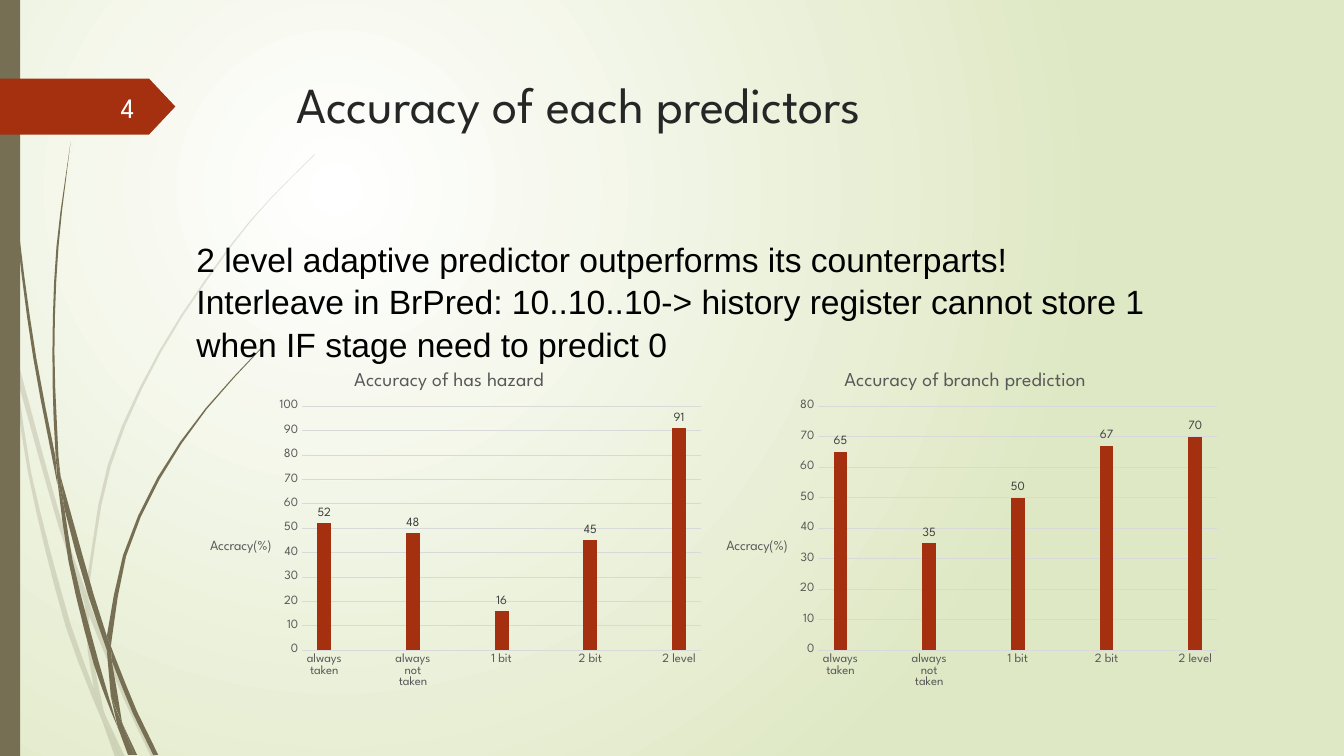
from math import hypot

from lxml.etree import SubElement as Sub
from pptx import Presentation
from pptx.chart.data import CategoryChartData as Data
from pptx.dml.color import RGBColor as Rgb
from pptx.enum.chart import XL_CHART_TYPE as Kind, XL_LABEL_POSITION as Spot
from pptx.enum.chart import XL_TICK_MARK as Tick
from pptx.enum.shapes import MSO_SHAPE as Form
from pptx.enum.text import MSO_ANCHOR as Anchor, PP_ALIGN as Align
from pptx.oxml.ns import qn
from pptx.util import Emu, Inches, Pt

WIDE, HIGH = Inches(13.33), Inches(7.5)
CELL = Inches(0.01)  # the leaves sit on a grid of 1333 columns by 750 rows
FINE = 100  # steps within a cell
FONT = "League Spartan"
OLIVE, RUST, GREY, RULE = "766F54", "A53010", "595959", "D9D9D9"

# Each leaf is a closed outline: edges parted by "/", points as column,row
PALE = [
    "11,350 9,322 0,282 / 0,299 10,344 11,350",
    "17,376 58,522 84,599 / 85,586 62,520 14,345",
    "88,596 92,607 127,692 155,751 / 150,751 123,694 88,610",
    "119,751 / 124,751 / 105,711",
    "11,350 17,376 31,469 70,619 93,683 101,714 / 92,693 65,621 28,470 11,350",
    "84,599 87,646 93,683 96,692 105,711 / 103,706 91,646 88,610",
    "88,596 88,584 110,462 160,349 229,245 268,198 312,154 / "
    "312,153 268,197 228,244 158,348 107,461 85,584",
    "101,714 114,751 / 119,751",
    "88,610 / 88,596 / 85,586 / 84,599",
    "93,683 101,714 119,751 / 105,711 96,692 93,683",
]
DARK = [
    "3,0 7,110 17,233 33,355 57,481 / 55,453 36,355 19,232 8,109 4,0",
    "60,472 64,505 88,592 106,645 / 106,631 93,590 60,472",
    "110,641 113,649 136,706 157,749 / 152,749 132,708 111,656",
    "57,477 64,505 72,556 98,657 117,722 / 111,708 93,659 68,557 57,477",
    "70,141 56,245 52,349 55,449 60,472 / 58,453 54,349 58,245 70,141",
    "133,749 / 136,749 / 122,719",
    "57,477 64,505 / 60,472 55,449",
    "111,633 125,552 158,476 205,406 261,344 / "
    "260,344 204,405 156,474 122,551 106,631 / 110,641",
    "117,722 127,749 / 131,749",
    "106,645 110,691 122,719 / 121,716 111,656 109,651",
    "106,645 111,656 / 110,641 106,631",
    "110,691 117,722 130,749 / 133,749 122,719 116,706",
]


def tint(code):
    """Turn a hex string into a colour."""
    return Rgb.from_string(code)


def frame(x, y, w, h):
    """Turn percent of the slide into left, top, width and height."""
    return [Emu(int(side * part / 100))
            for side, part in zip((WIDE, HIGH, WIDE, HIGH), (x, y, w, h))]


def style(font, size, code, name=FONT):
    """Set a font's size, colour and name."""
    font.size, font.name = Pt(size), name
    font.color.rgb = tint(code)


def paint(shape, code):
    """Give a shape a flat fill, without line or shadow."""
    shape.shadow.inherit = False
    shape.fill.solid()
    shape.fill.fore_color.rgb = tint(code)
    shape.line.fill.background()


def wash(slide):
    """Lay a round gradient, white at its heart, behind the slide."""
    fill = slide.background.fill
    fill.gradient()
    for stop, code in zip(fill.gradient_stops, ("FFFFFF", "DFE8C4")):
        stop.color.rgb = tint(code)
    grad = slide.element.find(".//" + qn("a:gradFill"))
    grad.remove(grad.find(qn("a:lin")))
    ring = Sub(grad, qn("a:path"), {"path": "circle"})
    Sub(ring, qn("a:fillToRect"), l="50000", t="50000", r="100000", b="100000")


def smooth(knots):
    """Run a soft curve through the knots, with more points on long spans."""
    aims = []
    for i in range(len(knots)):
        (ax, ay), (bx, by) = knots[max(i - 1, 0)], knots[min(i + 1, len(knots) - 1)]
        size = hypot(bx - ax, by - ay) or 1
        aims.append(((bx - ax) / size, (by - ay) / size))
    curve = [knots[0]]
    for p, q, u, v in zip(knots, knots[1:], aims, aims[1:]):
        span = hypot(q[0] - p[0], q[1] - p[1])
        steps = 1 + int(span / (50 * FINE))
        for t in (n / steps for n in range(1, steps + 1)):
            rise = t * t * (3 - 2 * t)
            out, back = span * t * (1 - t) ** 2, span * t * t * (t - 1)
            curve.append(tuple(p[k] + (q[k] - p[k]) * rise + u[k] * out + v[k] * back
                               for k in (0, 1)))
    return curve


def leaves(slide, plan, alpha=None):
    """Draw one group of leaves, see-through if alpha is given."""
    group = slide.shapes.add_group_shape()
    for text in plan:
        dots = []
        for edge in text.split("/"):
            knots = [tuple(int(n) * FINE for n in knot.split(","))
                     for knot in edge.split()]
            dots += smooth(knots)
        pen = group.shapes.build_freeform(*dots[0], scale=CELL / FINE)
        pen.add_line_segments(dots[1:], close=True)
        leaf = pen.convert_to_shape()
        paint(leaf, OLIVE)
        if alpha:
            tone = leaf.element.spPr.find(qn("a:solidFill"))[0]
            Sub(tone, qn("a:alpha"), val=str(alpha * 1000))


def block(slide, form, place, code):
    """Add a plain preset shape."""
    shape = slide.shapes.add_shape(form, *frame(*place))
    paint(shape, code)
    return shape


def words(slide, place, lines, size, code, name=FONT, align=Align.LEFT,
          anchor=Anchor.TOP, gap=1.0):
    """Add a text box with one paragraph a line."""
    text = slide.shapes.add_textbox(*frame(*place)).text_frame
    text.word_wrap, text.vertical_anchor = True, anchor
    text.text = "\n".join(lines)
    for para in text.paragraphs:
        para.alignment, para.line_spacing = align, gap
        style(para.font, size, code, name)


def pin(part, index, **spots):
    """Fix a chart part at shares of the chart's size."""
    old = part.find(qn("c:layout"))
    if old is not None:
        part.remove(old)
    plan = part.makeelement(qn("c:layout"))
    part.insert(index, plan)
    hand = Sub(plan, qn("c:manualLayout"))
    if "w" in spots:
        Sub(hand, qn("c:layoutTarget"), val="inner")
    for key in ("x", "y"):
        Sub(hand, qn(f"c:{key}Mode"), val="edge")
    for key, share in spots.items():
        Sub(hand, qn(f"c:{key}"), val=str(share))


def label(title, text, size):
    """Write a chart or axis title with level text, and return its element."""
    title.text_frame.text = text
    font = title.text_frame.paragraphs[0].font
    style(font, size, GREY)
    font.bold = False
    body = title._element.find(".//" + qn("a:bodyPr"))
    body.set("rot", "0")
    body.set("vert", "horz")
    return title._element


def bars(slide, place, title, names, rates, top):
    """Add a column chart with an empty slot between columns."""
    data = Data()
    last = 2 * len(names) - 1
    data.categories = ["" if i % 2 else names[i // 2] for i in range(last)]
    data.add_series("Series 1", [None if i % 2 else rates[i // 2] for i in range(last)])
    chart = slide.shapes.add_chart(Kind.COLUMN_CLUSTERED, *frame(*place), data).chart
    style(chart.font, 10, "000000")
    chart.has_legend = False
    label(chart.chart_title, title, 14)
    pin(chart._chartSpace.chart.plotArea, 0, x=0.22, y=0.15, w=0.76, h=0.71)

    plot = chart.plots[0]
    plot.gap_width, plot.overlap, plot.vary_by_categories = 219, -27, False
    fill = plot.series[0].format.fill
    fill.solid()
    fill.fore_color.rgb = tint(RUST)
    plot.has_data_labels = True
    tags = plot.data_labels
    tags.show_value, tags.position = True, Spot.OUTSIDE_END
    style(tags.font, 9, "404040")

    base, scale = chart.category_axis, chart.value_axis
    for axis in (base, scale):
        axis.major_tick_mark = axis.minor_tick_mark = Tick.NONE
        style(axis.tick_labels.font, 9, GREY)
    scale.minimum_scale, scale.maximum_scale, scale.major_unit = 0, top, 10
    scale.format.line.fill.background()
    for line in (base.format.line, scale.major_gridlines.format.line):
        line.color.rgb, line.width = tint(RULE), Pt(0.75)
    pin(label(scale.axis_title, "Accracy(%)", 10), 1, x=0.04, y=0.53)


def main():
    """Build the slide and save it."""
    deck = Presentation()
    deck.slide_width, deck.slide_height = WIDE, HIGH
    slide = deck.slides.add_slide(deck.slide_layouts[6])
    wash(slide)
    leaves(slide, PALE, alpha=20)
    leaves(slide, DARK)
    block(slide, Form.RECTANGLE, (0, 0, 1.5, 100), OLIVE)
    block(slide, Form.PENTAGON, (0, 10.4, 13.05, 7.4), RUST).adjustments[0] = 0.47
    words(slide, (21.3, 9.07, 73.14, 18.67), ["Accuracy of each predictors"], 36, "262626")
    words(slide, (13.88, 30.67, 76.14, 17.47),
          ["2 level adaptive predictor outperforms its counterparts!",
           "Interleave in BrPred: 10..10..10-> history register cannot store 1 "
           "when IF stage need to predict 0"], 24, "000000", "Arial", gap=1.05)
    words(slide, (4.35, 11.47, 6.38, 5.33), ["4"], 20, "FEFFFF",
          align=Align.RIGHT, anchor=Anchor.MIDDLE)
    names = ["always taken", "always not taken", "1 bit", "2 bit", "2 level"]
    charts = [("Accuracy of has hazard", (52, 48, 16, 45, 91), 100),
              ("Accuracy of branch prediction", (65, 35, 50, 67, 70), 80)]
    for i, (title, rates, top) in enumerate(charts):
        bars(slide, (13.88 + 38.41 * i, 46.93, 39.08, 45.47), title, names, rates, top)
    deck.save("out.pptx")


main()
